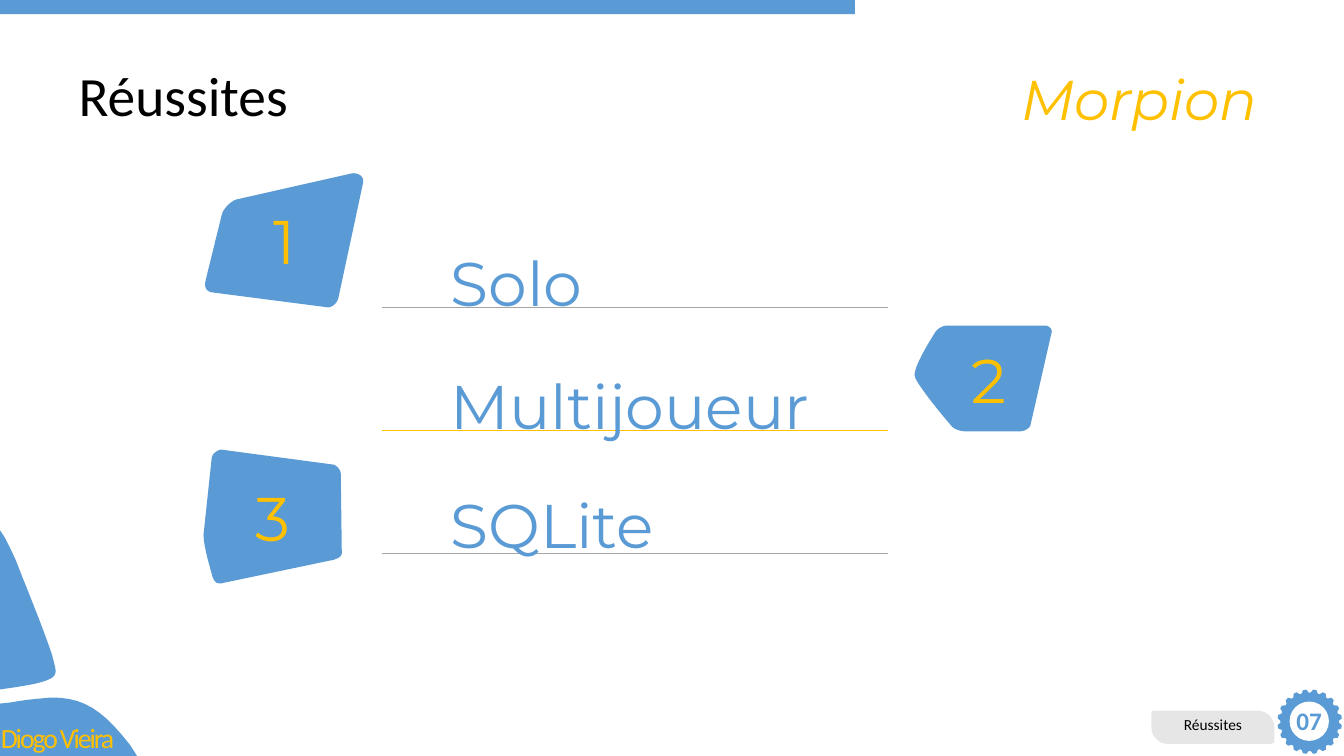
import math
from dataclasses import dataclass

import pptx
import pptx.util
import pptx.dml.color
import pptx.enum.shapes
import pptx.enum.text
import pptx.oxml

Inches = pptx.util.Inches
ALIGN = pptx.enum.text.PP_ALIGN
ANCHOR = pptx.enum.text.MSO_ANCHOR
SHAPE = pptx.enum.shapes.MSO_SHAPE


@dataclass(frozen=True)
class Theme:
    blue: str = "5B9BD5"
    gold: str = "FFC000"
    rule: str = "A5A5A5"
    tab: str = "E7E6E6"
    black: str = "000000"
    white: str = "FFFFFF"
    body_font: str = "Calibri"
    accent_font: str = "Montserrat"
    item: float = 44
    project: float = 40
    title: float = 39.6
    author: float = 19.8
    page: float = 18
    label: float = 11


T = Theme()

# Outlines in inches from the box corner: pairs are points, sixes are Bézier curves.
BADGE_1 = [(.01, 1.06), (-.02, 1.17, .07, 1.18, .07, 1.18), (1.23, 1.33),
           (1.28, 1.32, 1.32, 1.28, 1.33, 1.22), (1.57, .1),
           (1.59, .03, 1.52, -.01, 1.46, 0), (.31, .26),
           (.26, .28, .19, .34, .17, .41)]
BADGE_2 = [(0, .49), (0, .38, .21, .06, .21, .06), (.23, .03, .28, 0, .33, 0),
           (1.29, 0), (1.33, 0, 1.37, .03, 1.36, .07), (1.15, .99),
           (1.14, 1.02, 1.09, 1.05, 1.04, 1.05), (.51, 1.05),
           (.46, 1.05, .4, 1.03, .37, 1), (.37, 1, 0, .57, 0, .49)]
BADGE_3 = [(1.26, 1.1), (1.31, 1.09, 1.38, 1.07, 1.37, 1.01), (1.36, .24),
           (1.36, .19, 1.3, .15, 1.29, .15), (.17, 0),
           (.13, .01, .09, .04, .08, .08), (0, .83),
           (-.01, .88, .03, 1.06, .06, 1.16), (.09, 1.26, .09, 1.36, .21, 1.32)]
LABEL_TAB = [(1.22, .18), (1.22, .3), (1.22, .32, 1.2, .33, 1.18, .33), (.18, .33),
             (.12, .33, .08, .32, .05, .28), (.01, .25, 0, .21, 0, .14), (0, .03),
             (0, .01, .01, 0, .03, 0), (1.03, 0), (1.08, 0, 1.13, .01, 1.17, .05),
             (1.2, .08, 1.22, .12, 1.22, .18)]
UPPER_PETAL = [(0, 0), (.04, .06), (.08, .13, .11, .2, .15, .28),
               (.23, .49, .51, 1.17, .53, 1.29), (.56, 1.41, .59, 1.46, .4, 1.51),
               (.33, 1.53, .21, 1.55, .07, 1.57), (0, 1.58)]
LOWER_PETAL = [(.51, 1.66), (.82, 1.66, 1.01, 1.77, 1.29, 2.13), (1.36, 2.24),
               (0, 2.24), (0, 1.72), (.1, 1.71), (.26, 1.68, .39, 1.67, .51, 1.66)]


def rgb(color):
    return pptx.dml.color.RGBColor.from_string(color)


def paint(sp, color):
    sp.shadow.inherit = False
    sp.fill.solid()
    sp.fill.fore_color.rgb = rgb(color)
    sp.line.fill.background()


def flatten(outline, steps=10):
    """Turn points and Bézier curves into a list of points."""
    points = [outline[0]]
    for part in outline[1:]:
        if len(part) == 2:
            points.append(part)
            continue
        ctrl = [points[-1], part[:2], part[2:4], part[4:]]
        for i in range(1, steps + 1):
            t = i / steps
            weights = [math.comb(3, k) * t ** k * (1 - t) ** (3 - k) for k in range(4)]
            points.append(tuple(sum(w * c[axis] for w, c in zip(weights, ctrl))
                                for axis in (0, 1)))
    return points


def add_outline(s, x, y, outline, color):
    points = [(1000 * px, 1000 * py) for px, py in flatten(outline)]
    builder = s.shapes.build_freeform(*points[0], scale=Inches(1) / 1000)
    builder.add_line_segments(points[1:], close=True)
    sp = builder.convert_to_shape(Inches(x), Inches(y))
    paint(sp, color)
    return sp


def write(sp, text, size, color, font=T.body_font, align=ALIGN.LEFT,
          anchor=ANCHOR.TOP, wrap=True):
    tf = sp.text_frame
    tf.word_wrap = wrap
    tf.vertical_anchor = anchor
    p = tf.paragraphs[0]
    p.text = text
    p.alignment = align
    p.font.name = font
    p.font.size = pptx.util.Pt(size)
    p.font.color.rgb = rgb(color)
    return p


def add_text(s, box, *args, **kwargs):
    return write(s.shapes.add_textbox(*map(Inches, box)), *args, **kwargs)


def add_corner(s, x, y):
    add_outline(s, x, y, LOWER_PETAL, T.blue)
    add_outline(s, x, y, UPPER_PETAL, T.blue)
    p = add_text(s, (x - .09, y + 1.92, 1.6, .36), "Diogo Vieira", T.author, T.gold,
                 anchor=ANCHOR.MIDDLE)
    p.line_spacing = .7
    p.runs[0].font._element.set("spc", "-150")


def add_header(s, x, y):
    bar = s.shapes.add_shape(SHAPE.RECTANGLE, Inches(x), Inches(y), Inches(8.48), Inches(.14))
    paint(bar, T.blue)
    title = s.shapes.title
    title.left, title.top, title.width, title.height = map(
        Inches, (x + .68, y + .8, 11.97, .36))
    p = write(title, "Réussites", T.title, T.black, anchor=ANCHOR.MIDDLE)
    p.line_spacing = .9
    title.text_frame.auto_size = pptx.enum.text.MSO_AUTO_SIZE.NONE
    p = add_text(s, (x + 7.56, y + .59, 5.01, .77), "Morpion", T.project, T.gold,
                 T.accent_font, ALIGN.RIGHT)
    p.font.italic = True


def add_badges(s, x, y):
    for dx, dy, outline, number in [(.01, 0, BADGE_1, "1"), (0, 2.74, BADGE_3, "3")]:
        sp = add_outline(s, x + dx, y + dy, outline, T.blue)
        write(sp, number, T.item, T.gold, T.accent_font, ALIGN.CENTER, ANCHOR.MIDDLE)
    add_outline(s, x + 7.05, y + 1.51, BADGE_2, T.blue)
    add_text(s, (x + 7.52, y + 1.62, .61, .84), "2", T.item, T.gold, T.accent_font,
             wrap=False)


def add_items(s, x, y, width):
    items = [("Solo", 0, T.rule), ("Multijoueur", 1.22, T.gold), ("SQLite", 2.4, T.rule)]
    for i, (text, dy, color) in enumerate(items):
        rule_y = Inches(y + .67 + 1.22 * i)
        rule = s.shapes.add_connector(pptx.enum.shapes.MSO_CONNECTOR.STRAIGHT,
                                      Inches(x + width), rule_y, Inches(x), rule_y)
        rule.line.color.rgb = rgb(color)
        rule.line.width = pptx.util.Pt(.5)
        rule._element.spPr.append(pptx.oxml.parse_xml(
            '<a:effectLst xmlns:a="http://schemas.openxmlformats.org/drawingml/2006/main"/>'))
        add_text(s, (x + .58, y + dy, width - .58, .84), text, T.item, T.blue,
                 T.accent_font)


def add_page_mark(s, x, y):
    """Label tab and toothed page number."""
    tab = add_outline(s, x, y + .21, LABEL_TAB, T.tab)
    write(tab, "Réussites", T.label, T.black, align=ALIGN.CENTER)
    cx, cy, teeth = 1.57, .32, 20
    gear = []
    for i in range(teeth):
        for radius, offset in [(.29, -11), (.29, -7), (.32, -3), (.32, 3)]:
            angle = math.radians(360 / teeth * (i + .5) + offset)
            gear.append((cx + radius * math.cos(angle), cy + radius * math.sin(angle)))
    add_outline(s, x, y, gear, T.blue)
    hub = s.shapes.add_shape(SHAPE.OVAL, Inches(x + cx - .2), Inches(y + cy - .2),
                             Inches(.39), Inches(.39))
    paint(hub, T.white)
    p = add_text(s, (x + 1.34, y + .11, .46, .4), "07", T.page, T.blue, wrap=False)
    p.font.bold = True


def main():
    prs = pptx.Presentation()
    prs.slide_width, prs.slide_height = Inches(13.33), Inches(7.5)
    s = prs.slides.add_slide(prs.slide_layouts[5])
    add_corner(s, 0, 5.26)
    add_header(s, 0, 0)
    add_badges(s, 2.02, 1.72)
    add_items(s, 3.79, 2.38, 5.02)
    add_page_mark(s, 11.42, 6.84)
    prs.save("out.pptx")


if __name__ == "__main__":
    main()
